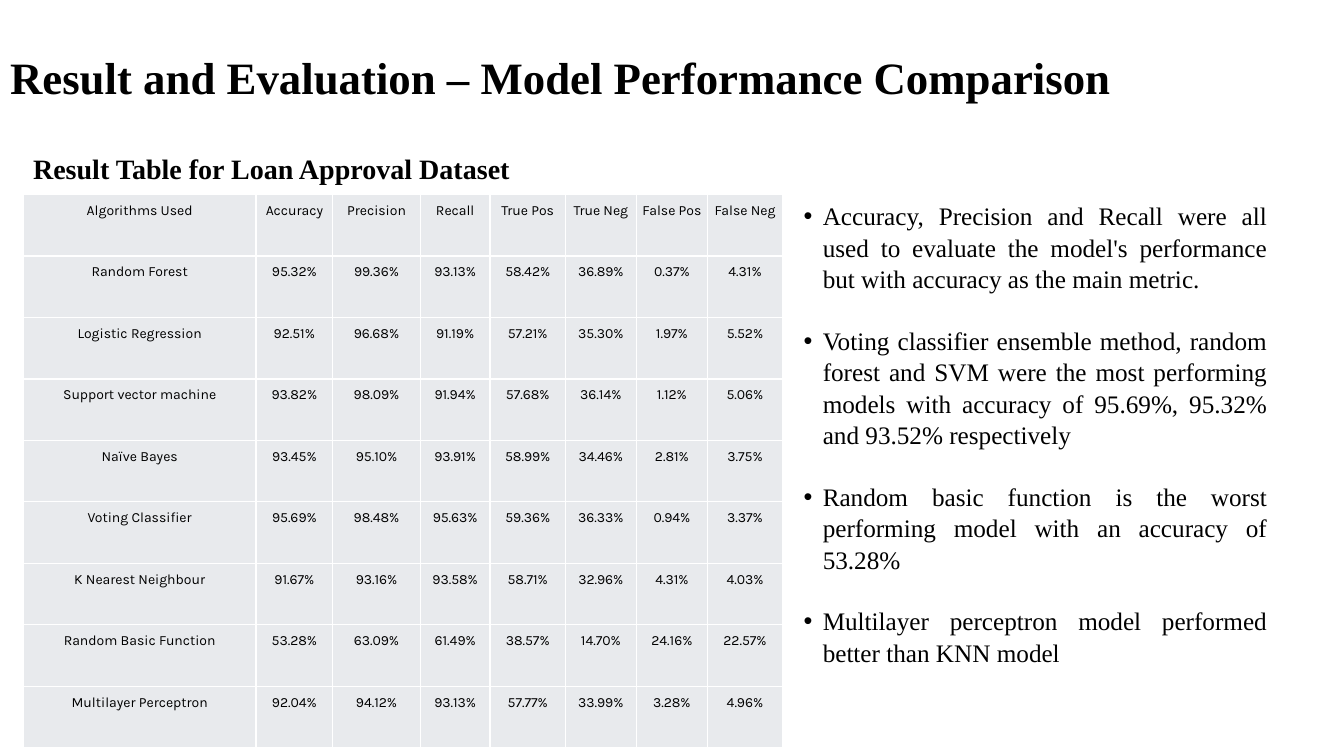
from pptx import Presentation
from pptx.dml.color import RGBColor
from pptx.enum.text import MSO_ANCHOR as Anchor, MSO_AUTO_SIZE as Fit, PP_ALIGN as Align
from pptx.oxml import parse_xml
from pptx.oxml.ns import nsdecls
from pptx.util import Pt

PX = 9144  # 100 px to the inch

TITLE = "Result and Evaluation – Model Performance Comparison"
HEADING = "Result Table for Loan Approval Dataset"
WIDTHS = [231, 76, 87, 69, 75, 70, 71, 74]
ROWS = [
    ["Algorithms Used", "Accuracy", "Precision", "Recall",
     "True Pos", "True Neg", "False Pos", "False Neg"],
    ["Random Forest", "95.32%", "99.36%", "93.13%", "58.42%", "36.89%", "0.37%", "4.31%"],
    ["Logistic Regression", "92.51%", "96.68%", "91.19%", "57.21%", "35.30%", "1.97%", "5.52%"],
    ["Support vector machine", "93.82%", "98.09%", "91.94%", "57.68%", "36.14%", "1.12%", "5.06%"],
    ["Naïve Bayes", "93.45%", "95.10%", "93.91%", "58.99%", "34.46%", "2.81%", "3.75%"],
    ["Voting Classifier", "95.69%", "98.48%", "95.63%", "59.36%", "36.33%", "0.94%", "3.37%"],
    ["K Nearest Neighbour", "91.67%", "93.16%", "93.58%", "58.71%", "32.96%", "4.31%", "4.03%"],
    ["Random Basic Function", "53.28%", "63.09%", "61.49%", "38.57%", "14.70%", "24.16%", "22.57%"],
    ["Multilayer Perceptron", "92.04%", "94.12%", "93.13%", "57.77%", "33.99%", "3.28%", "4.96%"],
]
POINTS = [
    "Accuracy, Precision and Recall were all used to evaluate the model's performance "
    "but with accuracy as the main metric.",
    "Voting classifier ensemble method, random forest and SVM were the most performing "
    "models with accuracy of 95.69%, 95.32% and 93.52% respectively",
    "Random basic function is the worst performing model with an accuracy of 53.28%",
    "Multilayer perceptron model performed better than KNN model",
]


def color(code):
    return RGBColor.from_string(code)


class Deck:
    serif, sans = "Times New Roman", "Karla"
    ink, paper, gray = "000000", "FFFFFF", "E8EAED"

    def __init__(self, wide, high):
        self.prs = Presentation()
        self.prs.slide_width, self.prs.slide_height = wide * PX, high * PX
        self.slide = self.prs.slides.add_slide(self.prs.slide_layouts[1])

    def place(self, shape, left, top, wide, high):
        shape.left, shape.top = left * PX, top * PX
        shape.width, shape.height = wide * PX, high * PX

    def style(self, para, size, face, align, space=1.0, bold=False):
        para.alignment, para.line_spacing = align, space
        font = para.font
        font.size, font.name, font.bold = Pt(size), face, bold
        font.color.rgb = color(self.ink)

    def title(self, text, box):
        shape = self.slide.shapes.title
        self.place(shape, *box)
        frame = shape.text_frame
        frame.text, frame.auto_size = text, Fit.NONE
        frame.vertical_anchor = Anchor.MIDDLE
        self.style(frame.paragraphs[0], 32, self.serif, Align.LEFT, 0.9, True)

    def heading(self, text, box):
        shape = self.slide.shapes.add_textbox(*(n * PX for n in box))
        frame = shape.text_frame
        frame.text, frame.word_wrap = text, True
        self.style(frame.paragraphs[0], 20, self.serif, Align.JUSTIFY, bold=True)

    def points(self, items, box, indent):
        shape = self.slide.placeholders[1]
        self.place(shape, *box)
        frame = shape.text_frame
        frame.text, frame.auto_size = "\n".join(items), Fit.NONE
        for para in frame.paragraphs:
            self.style(para, 18, self.serif, Align.JUSTIFY, 1.04)
            para.space_before, para.space_after = Pt(0), Pt(21.6)
            props = para._p.get_or_add_pPr()
            props.set("marL", str(indent * PX))
            props.set("indent", str(-indent * PX))

    def edges(self, cell):
        """Draw a thin line on all four sides of a cell."""
        props = cell._tc.get_or_add_tcPr()
        for spot, side in enumerate(("lnL", "lnR", "lnT", "lnB")):
            props.insert(spot, parse_xml(
                f'<a:{side} {nsdecls("a")} w="{Pt(1)}"><a:solidFill>'
                f'<a:srgbClr val="{self.paper}"/></a:solidFill></a:{side}>'))

    def table(self, rows, widths, left, top, high):
        frame = self.slide.shapes.add_table(
            len(rows), len(widths), left * PX, top * PX,
            sum(widths) * PX, high * len(rows) * PX)
        grid = frame.table
        grid.first_row = grid.horz_banding = False
        for col, wide in zip(grid.columns, widths):
            col.width = wide * PX
        for r, row in enumerate(rows):
            for c, text in enumerate(row):
                self.cell(grid.cell(r, c), text, 7 if c < 4 else 1)

    def cell(self, cell, text, pad):
        cell.text = text
        cell.margin_left = cell.margin_right = pad * PX
        cell.margin_top = cell.margin_bottom = 0
        cell.fill.solid()
        cell.fill.fore_color.rgb = color(self.gray)
        self.edges(cell)
        self.style(cell.text_frame.paragraphs[0], 10, self.sans, Align.CENTER, 1.5)


def main():
    deck = Deck(1333, 750)
    deck.title(TITLE, (0, 19, 1213, 121))
    deck.heading(HEADING, (23, 145, 854, 44))
    deck.table(ROWS, WIDTHS, 23, 193, 61)
    deck.points(POINTS, (787, 193, 480, 464), 19)
    deck.prs.save("out.pptx")


if __name__ == "__main__":
    main()
